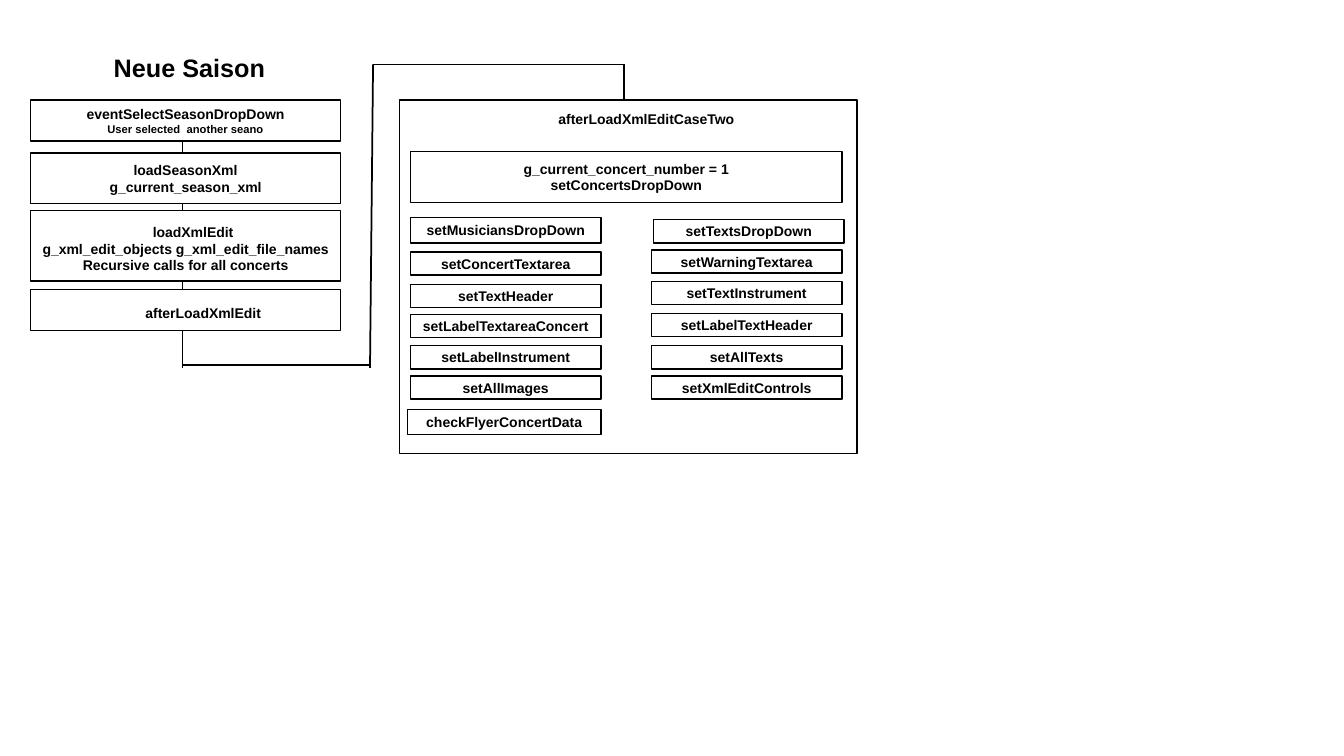
import pptx
import pptx.dml.color
import pptx.enum.shapes
import pptx.enum.text
import pptx.util
from lxml import etree
from pptx.util import Inches

COLORS = {"ink": "000000", "paper": "FFFFFF"}
DRAWINGML = "{http://schemas.openxmlformats.org/drawingml/2006/main}"
MIDDLE = pptx.enum.text.MSO_ANCHOR.MIDDLE
TOP = pptx.enum.text.MSO_ANCHOR.TOP

FLOW_LEFT, FLOW_WIDTH = 0.3, 3.08
FLOW_CENTER = 1.81
PANEL_CENTER = 6.19
ROUTE_TOP, ROUTE_BOTTOM = 0.64, 3.62
CALL_WIDTH, CALL_HEIGHT = 1.89, 0.23

LINES = [
    (PANEL_CENTER, 3.96, PANEL_CENTER, ROUTE_TOP),
    (FLOW_CENTER, 3.65, FLOW_CENTER, 1.27),
    (3.67, 3.65, 3.7, ROUTE_TOP),
    (FLOW_CENTER, ROUTE_BOTTOM, 3.67, ROUTE_BOTTOM),
    (3.7, ROUTE_TOP, PANEL_CENTER, ROUTE_TOP),
]

# top, height, text lines with sizes, formats
FLOW_STEPS = [
    (0.99, 0.41, [("eventSelectSeasonDropDown", 10),
                  ("User selected  another seano", 8)], {}),
    (1.52, 0.5, [("loadSeasonXml", 10), ("g_current_season_xml", 10)], {}),
    (2.09, 0.7, [("loadXmlEdit", 10),
                 ("g_xml_edit_objects g_xml_edit_file_names", 10),
                 ("Recursive calls for all concerts", 10)],
     {"indent": 0.15, "margin_top": 0.1}),
    (2.87, 0.41, [("afterLoadXmlEdit", 10)],
     {"indent": 0.35, "margin_top": 0.11}),
]

# left, then the top and name of each call
CALL_COLUMNS = [
    (4.07, [(2.5, "setConcertTextarea"), (2.82, "setTextHeader"),
            (3.12, "setLabelTextareaConcert"), (3.43, "setLabelInstrument"),
            (3.73, "setAllImages")]),
    (6.46, [(2.48, "setWarningTextarea"), (2.79, "setTextInstrument"),
            (3.11, "setLabelTextHeader"), (3.43, "setAllTexts"),
            (3.73, "setXmlEditControls")]),
]

# calls that stand slightly off the columns
EDGE_CALLS = [
    (4.07, 2.16, CALL_WIDTH, 0.25, "setMusiciansDropDown"),
    (6.48, 2.18, CALL_WIDTH, CALL_HEIGHT, "setTextsDropDown"),
    (4.04, 4.06, 1.92, 0.25, "checkFlyerConcertData"),
]


class Diagram:
    """Draws black-on-white flow chart elements on one slide."""

    font = {"name": "Arial", "bold": True}

    def __init__(self, s):
        self.s = s

    def color(self, name):
        return pptx.dml.color.RGBColor.from_string(COLORS[name])

    def stroke(self, line, width):
        line.color.rgb = self.color("ink")
        line.width = pptx.util.Pt(width)

    def add_text(self, p, text, size):
        r = p.add_run()
        r.text = text
        for key, value in {**self.font, "size": pptx.util.Pt(size)}.items():
            setattr(r.font, key, value)
        r.font.color.rgb = self.color("ink")

    def title(self, left, top, width, height, text, size):
        tf = self.s.shapes.add_textbox(
            *map(Inches, (left, top, width, height))).text_frame
        tf.word_wrap = True
        tf.auto_size = pptx.enum.text.MSO_AUTO_SIZE.SHAPE_TO_FIT_TEXT
        self.add_text(tf.paragraphs[0], text, size)

    def line(self, *ends):
        c = self.s.shapes.add_connector(
            pptx.enum.shapes.MSO_CONNECTOR.STRAIGHT, *map(Inches, ends))
        self.stroke(c.line, 1.25)
        etree.SubElement(c._element.spPr, DRAWINGML + "effectLst")

    def box(self, left, top, width, height, lines, indent=0,
            margin_top=0.05, anchor=MIDDLE):
        """Add a bordered box; indent applies to its first line."""
        sp = self.s.shapes.add_shape(
            pptx.enum.shapes.MSO_SHAPE.RECTANGLE,
            *map(Inches, (left, top, width, height)))
        sp.shadow.inherit = False
        sp.fill.solid()
        sp.fill.fore_color.rgb = self.color("paper")
        self.stroke(sp.line, 1)
        tf = sp.text_frame
        formats = {"word_wrap": True, "vertical_anchor": anchor,
                   "margin_left": Inches(0.05), "margin_right": Inches(0.05),
                   "margin_top": Inches(margin_top)}
        for key, value in formats.items():
            setattr(tf, key, value)
        for i, (text, size) in enumerate(lines):
            p = tf.add_paragraph() if i else tf.paragraphs[0]
            p.alignment = pptx.enum.text.PP_ALIGN.CENTER
            self.add_text(p, text, size)
        if indent:
            pPr = tf.paragraphs[0]._p.get_or_add_pPr()
            pPr.set("marL", str(Inches(indent)))
            pPr.set("indent", "0")


def main():
    prs = pptx.Presentation()
    prs.slide_width, prs.slide_height = Inches(13.33), Inches(7.5)
    d = Diagram(prs.slides.add_slide(prs.slide_layouts[6]))

    for ends in LINES:
        d.line(*ends)
    d.title(1.03, 0.47, 1.87, 0.4, "Neue Saison", 18)
    for top, height, lines, formats in FLOW_STEPS:
        d.box(FLOW_LEFT, top, FLOW_WIDTH, height, lines, **formats)

    d.box(3.96, 0.99, 4.54, 3.51, [("afterLoadXmlEditCaseTwo", 10)],
          indent=0.36, margin_top=0.11, anchor=TOP)
    d.box(4.07, 1.5, 4.28, 0.51, [("g_current_concert_number = 1", 10),
                                  ("setConcertsDropDown", 10)])
    for left, calls in CALL_COLUMNS:
        for top, name in calls:
            d.box(left, top, CALL_WIDTH, CALL_HEIGHT, [(name, 10)])
    for left, top, width, height, name in EDGE_CALLS:
        d.box(left, top, width, height, [(name, 10)])

    prs.save("out.pptx")


if __name__ == "__main__":
    main()
